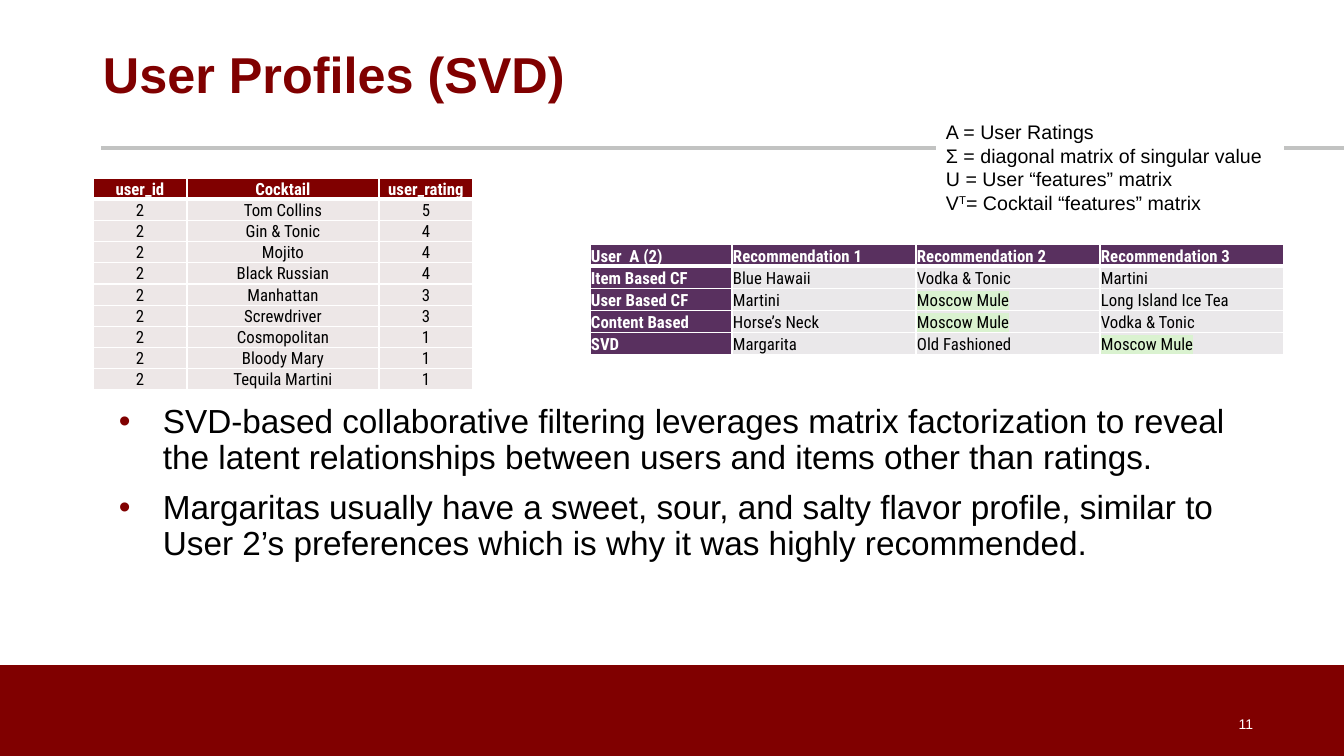
from lxml import etree
from pptx import Presentation
from pptx import util as u
from pptx.dml.color import RGBColor
from pptx.enum import shapes, text
from pptx.oxml import parse_xml
from pptx.oxml.ns import nsdecls, qn

TITLE = "User Profiles (SVD)"
PAGE = "11"
LEGEND = [
    ["A = User Ratings"],
    ["Σ = diagonal matrix of singular value"],
    ["U = User “features” matrix"],
    ["V", ("T", "super"), "= Cocktail “features” matrix"],
]
BULLETS = [
    ["SVD-based collaborative filtering leverages matrix factorization to reveal "
     "the latent relationships between users and items other than ratings."],
    ["Margaritas usually have a sweet, sour, and salty flavor profile, similar to "
     "User 2’s preferences which is why it was highly recommended."],
]
USER = "2"
USER_RATINGS = [
    ("Tom Collins", "5"), ("Gin & Tonic", "4"), ("Mojito", "4"),
    ("Black Russian", "4"), ("Manhattan", "3"), ("Screwdriver", "3"),
    ("Cosmopolitan", "1"), ("Bloody Mary", "1"), ("Tequila Martini", "1"),
]
RATINGS = [("user_id", "Cocktail", "user_rating")]
RATINGS += [(USER, *rating) for rating in USER_RATINGS]
RECOMMENDATIONS = [
    ("User  A (2)", "Recommendation 1", "Recommendation 2", "Recommendation 3"),
    ("Item Based CF", "Blue Hawaii", "Vodka & Tonic", "Martini"),
    ("User Based CF", "Martini", "Moscow Mule", "Long Island Ice Tea"),
    ("Content Based", "Horse’s Neck", "Moscow Mule", "Vodka & Tonic"),
    ("SVD", "Margarita", "Old Fashioned", "Moscow Mule"),
]
REPEATED = "Moscow Mule"

COLORS = {
    "maroon": "800000", "purple": "59305F", "white": "FFFFFF", "black": "000000",
    "rule": "C2C3C2", "rose": "EDE7E7", "lilac": "EAE8EA", "mark": "DAF2D0",
}
PX = 914400 / 100.8
W, H = 1344, 756
LEFT, MIDDLE, RIGHT = text.PP_ALIGN.LEFT, text.PP_ALIGN.CENTER, text.PP_ALIGN.RIGHT


def px(n):
    return u.Emu(round(n * PX))


def rgb(name):
    return RGBColor.from_string(COLORS[name])


def write(tf, paragraphs, size=12, font="Arial", color="black", bold=False,
          align=LEFT, bullet=None):
    """Fill a text frame; a run is a string or a (string, "super" or "mark") pair."""
    tf.word_wrap = True
    for i, runs in enumerate(paragraphs):
        p = tf.add_paragraph() if i else tf.paragraphs[0]
        p.alignment = align
        if bullet:
            p.line_spacing, p.space_before = 0.9, u.Pt(10)
            pPr = p._p.get_or_add_pPr()
            pPr.set("marL", str(px(50)))
            pPr.set("indent", str(px(-44)))
            buClr = etree.SubElement(pPr, qn("a:buClr"))
            etree.SubElement(buClr, qn("a:srgbClr"), val=COLORS[bullet])
            etree.SubElement(pPr, qn("a:buFont"), typeface="Arial")
            etree.SubElement(pPr, qn("a:buChar"), char="•")
        for run in runs:
            content, effect = (run, None) if isinstance(run, str) else run
            r = p.add_run()
            r.text = content
            r.font.size, r.font.name, r.font.bold = u.Pt(size), font, bold
            r.font.color.rgb = rgb(color)
            rPr = r._r.get_or_add_rPr()
            if effect == "super":
                rPr.set("baseline", "30000")
            elif effect == "mark":
                rPr.find(qn("a:solidFill")).addnext(parse_xml(
                    f'<a:highlight {nsdecls("a")}>'
                    f'<a:srgbClr val="{COLORS["mark"]}"/></a:highlight>'))


def add_box(s, box, paragraphs=(), fill=None, anchor=text.MSO_ANCHOR.TOP, **fmt):
    box = [px(n) for n in box]
    if fill:
        sp = s.shapes.add_shape(shapes.MSO_SHAPE.RECTANGLE, *box)
        sp.shadow.inherit = False
        sp.fill.solid()
        sp.fill.fore_color.rgb = rgb(fill)
        sp.line.fill.background()
    else:
        sp = s.shapes.add_textbox(*box)
    sp.text_frame.vertical_anchor = anchor
    write(sp.text_frame, paragraphs, **fmt)


def add_borders(cell, **points):
    """Draw white cell edges; the keys are L, R, T and B."""
    tcPr = cell._tc.get_or_add_tcPr()
    for i, (side, width) in enumerate(points.items()):
        tcPr.insert(i, parse_xml(
            f'<a:ln{side} {nsdecls("a")} w="{u.Pt(width)}"><a:solidFill>'
            f'<a:srgbClr val="{COLORS["white"]}"/></a:solidFill></a:ln{side}>'))


def add_grid(s, x, y, height, widths, rows, head, body, head_cols=0, align=LEFT):
    table = s.shapes.add_table(len(rows), len(widths), px(x), px(y),
                               px(sum(widths)), px(height)).table
    table.first_row = table.horz_banding = False
    for col, width in zip(table.columns, widths):
        col.width = px(width)
    for i, row in enumerate(rows):
        table.rows[i].height = px(height / len(rows))
        for j, label in enumerate(row):
            cell = table.cell(i, j)
            is_head = i == 0 or j < head_cols
            cell.fill.solid()
            cell.fill.fore_color.rgb = rgb(head if is_head else body)
            cell.vertical_anchor = text.MSO_ANCHOR.BOTTOM
            cell.margin_left = cell.margin_right = cell.margin_top = px(1)
            cell.margin_bottom = 0
            add_borders(cell, L=1, R=1, T=3 if i == 1 else 1, B=1 if i else 3)
            run = (label, "mark") if label == REPEATED else label
            write(cell.text_frame, [[run]], font="Roboto Condensed", bold=is_head,
                  color="white" if is_head else "black", align=align)


def main():
    prs = Presentation()
    prs.slide_width, prs.slide_height = px(W), px(H)
    s = prs.slides.add_slide(prs.slide_layouts[6])
    center = text.MSO_ANCHOR.MIDDLE

    add_box(s, (0, 665, W, H - 665), fill="maroon")
    rule = s.shapes.add_connector(shapes.MSO_CONNECTOR.STRAIGHT,
                                  px(101), px(148), px(W), px(148))
    rule.line.color.rgb, rule.line.width = rgb("rule"), u.Pt(3)
    etree.SubElement(rule._element.spPr, qn("a:effectLst"))

    add_box(s, (93, 0, 1159, 146), [[TITLE]], anchor=center,
            size=36, color="maroon", bold=True)
    add_box(s, (950, 704, 313, 40), [[PAGE]], anchor=center,
            size=10, color="white", align=RIGHT)
    add_grid(s, 590, 244, 111, [142] + [184] * 3, RECOMMENDATIONS,
             "purple", "lilac", head_cols=1)
    add_box(s, (103, 400, 1181, 208), BULLETS, size=23.8, bullet="maroon")
    add_box(s, (936, 115, 348, 105), LEGEND, fill="white", size=14)
    add_grid(s, 93, 178, 211, [94, 192, 94], RATINGS, "maroon", "rose", align=MIDDLE)
    prs.save("out.pptx")


if __name__ == "__main__":
    main()
